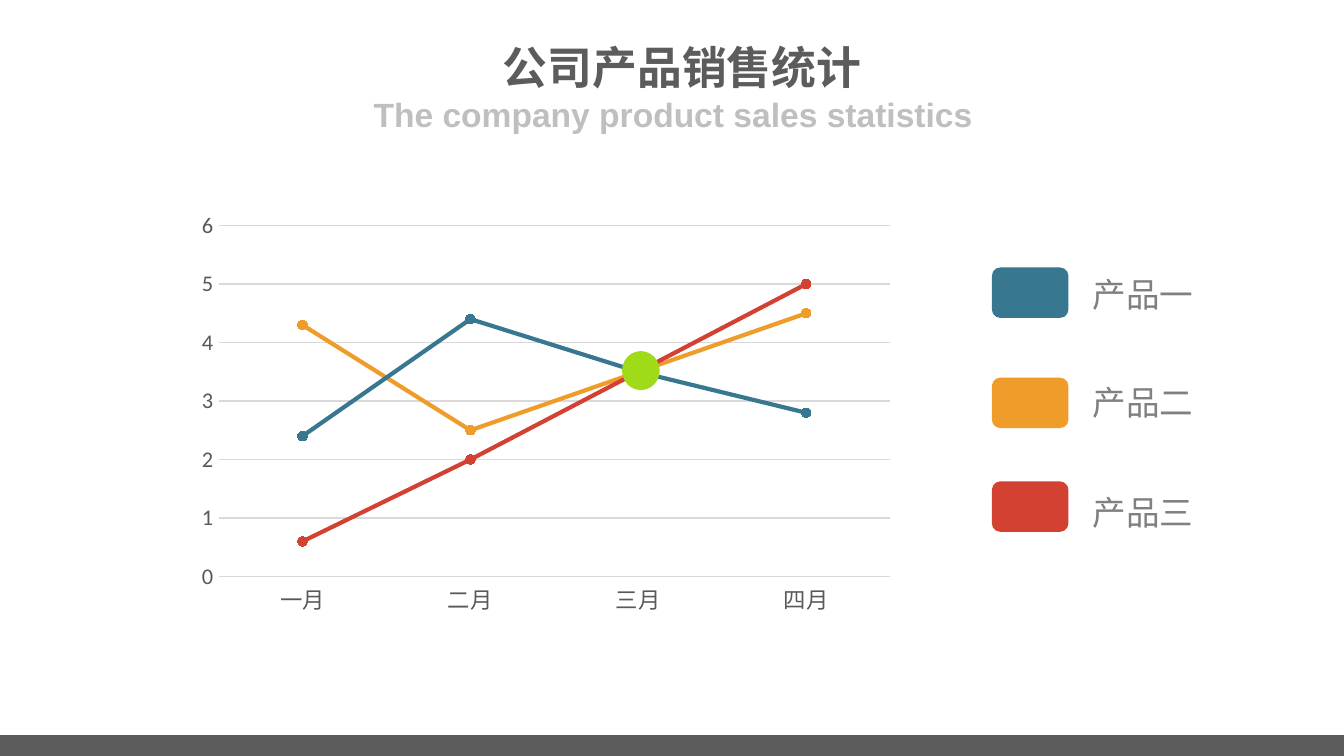
from pptx import Presentation
from pptx.chart.data import CategoryChartData
from pptx.dml.color import RGBColor
from pptx.enum.chart import XL_CHART_TYPE, XL_MARKER_STYLE, XL_TICK_MARK
from pptx.enum.shapes import MSO_SHAPE
from pptx.enum.text import MSO_ANCHOR, PP_ALIGN
from pptx.oxml import parse_xml
from pptx.oxml.ns import nsdecls
from pptx.util import Pt

LINE_MARKERS = XL_CHART_TYPE.LINE_MARKERS
CIRCLE = XL_MARKER_STYLE.CIRCLE
NO_TICK = XL_TICK_MARK.NONE
RECT, ROUND_RECT, OVAL = MSO_SHAPE.RECTANGLE, MSO_SHAPE.ROUNDED_RECTANGLE, MSO_SHAPE.OVAL
MIDDLE, TOP = MSO_ANCHOR.MIDDLE, MSO_ANCHOR.TOP
CENTER, LEFT = PP_ALIGN.CENTER, PP_ALIGN.LEFT

DARK = RGBColor(0x5C, 0x5C, 0x5C)
SILVER = RGBColor(0xBF, 0xBF, 0xBF)
GRAY = RGBColor(0x80, 0x80, 0x80)
AXIS_TEXT = RGBColor(0x59, 0x59, 0x59)
GRID = RGBColor(0xD9, 0xD9, 0xD9)
BLUE = RGBColor(0x37, 0x77, 0x90)
ORANGE = RGBColor(0xF0, 0x9C, 0x2A)
RED = RGBColor(0xD2, 0x41, 0x32)
GREEN = RGBColor(0x9F, 0xDB, 0x19)

CJK, ARIAL, CALIBRI = "Noto Sans CJK SC", "Arial", "Calibri"

MONTHS = ["一月", "二月", "三月", "四月"]
SERIES = [
    ("Series 1", (4.3, 2.5, 3.5, 4.5), ORANGE),
    ("Series 2", (2.4, 4.4, 3.5, 2.8), BLUE),
    ("Series 3", (0.6, 2, 3.5, 5), RED),
]
# label, colour, swatch top, label top
LEGEND = [
    ("产品一", BLUE, 143.3, 143.3),
    ("产品二", ORANGE, 202.3, 201.2),
    ("产品三", RED, 257.9, 260),
]


def add_box(s, kind, x, y, w, h, color):
    sp = s.shapes.add_shape(kind, Pt(x), Pt(y), Pt(w), Pt(h))
    sp.shadow.inherit = False
    sp.fill.solid()
    sp.fill.fore_color.rgb = color
    sp.line.fill.background()


def add_text(s, text, x, y, w, h, size, font, color,
             bold=False, align=LEFT, anchor=TOP, inset=(0, 0)):
    """Add a one-line text box; inset is (horizontal, vertical)."""
    tf = s.shapes.add_textbox(Pt(x), Pt(y), Pt(w), Pt(h)).text_frame
    tf.word_wrap = True
    tf.vertical_anchor = anchor
    tf.margin_left = tf.margin_right = Pt(inset[0])
    tf.margin_top = tf.margin_bottom = Pt(inset[1])
    p = tf.paragraphs[0]
    p.alignment = align
    r = p.add_run()
    r.text = text
    r.font.size = Pt(size)
    r.font.bold = bold
    r.font.color.rgb = color
    r.font.name = font
    r.font._element.append(parse_xml(f'<a:ea {nsdecls("a")} typeface="{font}"/>'))


def style_axis(axis):
    axis.major_tick_mark = axis.minor_tick_mark = NO_TICK
    font = axis.tick_labels.font
    font.size = Pt(12)
    font.name = CALIBRI
    font.color.rgb = AXIS_TEXT


def style_line(line, color, width):
    line.color.rgb = color
    line.width = Pt(width)


def set_plot_area(chart, x, y, w, h):
    """Fix the inner plot area, in fractions of the chart."""
    plot_area = chart._chartSpace.chart.plotArea
    for old in plot_area.xpath("c:layout"):
        plot_area.remove(old)
    values = "".join(f'<c:{tag} val="{val}"/>'
                     for tag, val in zip("xywh", (x, y, w, h)))
    plot_area.insert(0, parse_xml(
        f'<c:layout {nsdecls("c")}><c:manualLayout><c:layoutTarget val="inner"/>'
        f'<c:xMode val="edge"/><c:yMode val="edge"/>{values}'
        '</c:manualLayout></c:layout>'))


def add_sales_chart(s, x, y, w, h):
    data = CategoryChartData()
    data.categories = MONTHS
    for name, values, _ in SERIES:
        data.add_series(name, values)
    chart = s.shapes.add_chart(LINE_MARKERS, Pt(x), Pt(y), Pt(w), Pt(h), data).chart
    chart.has_legend = False
    chart.has_title = False
    chart.font.size = Pt(10)
    chart.font.name = CALIBRI

    style_axis(chart.category_axis)
    style_line(chart.category_axis.format.line, GRID, 0.75)
    value_axis = chart.value_axis
    style_axis(value_axis)
    value_axis.minimum_scale, value_axis.maximum_scale = 0, 6
    value_axis.major_unit = 1
    value_axis.format.line.fill.background()
    style_line(value_axis.major_gridlines.format.line, GRID, 0.75)

    chart.plots[0].vary_by_categories = False
    for series, (_, _, color) in zip(chart.plots[0].series, SERIES):
        series.smooth = False
        style_line(series.format.line, color, 2.25)
        marker = series.marker
        marker.style = CIRCLE
        marker.size = 5
        marker.format.fill.solid()
        marker.format.fill.fore_color.rgb = color
        style_line(marker.format.line, color, 0.75)
    set_plot_area(chart, 0.063, 0.062, 0.912, 0.819)


def add_legend(s):
    for label, color, swatch_top, label_top in LEGEND:
        add_box(s, ROUND_RECT, 531.4, swatch_top, 41, 27, color)
        add_text(s, label, 578.2, label_top, 129.6, 28.8, 18, CJK, GRAY,
                 inset=(7.2, 3.6))


def main():
    prs = Presentation()
    prs.slide_width, prs.slide_height = Pt(720), Pt(405)
    s = prs.slides.add_slide(prs.slide_layouts[6])
    add_text(s, "公司产品销售统计", 143.3, 21.6, 444.2, 28, 24, CJK, DARK,
             bold=True, align=CENTER, anchor=MIDDLE)
    add_text(s, "The company product sales statistics", 198.7, 53.3, 324, 16,
             18, ARIAL, SILVER, bold=True, align=CENTER, anchor=MIDDLE)
    add_box(s, RECT, 0, 393.8, 720, 11.2, DARK)
    add_sales_chart(s, 92.2, 106.6, 394.6, 229.7)
    add_box(s, OVAL, 333.2, 188.1, 20.2, 20.9, GREEN)
    add_legend(s)
    prs.save("out.pptx")


if __name__ == "__main__":
    main()
